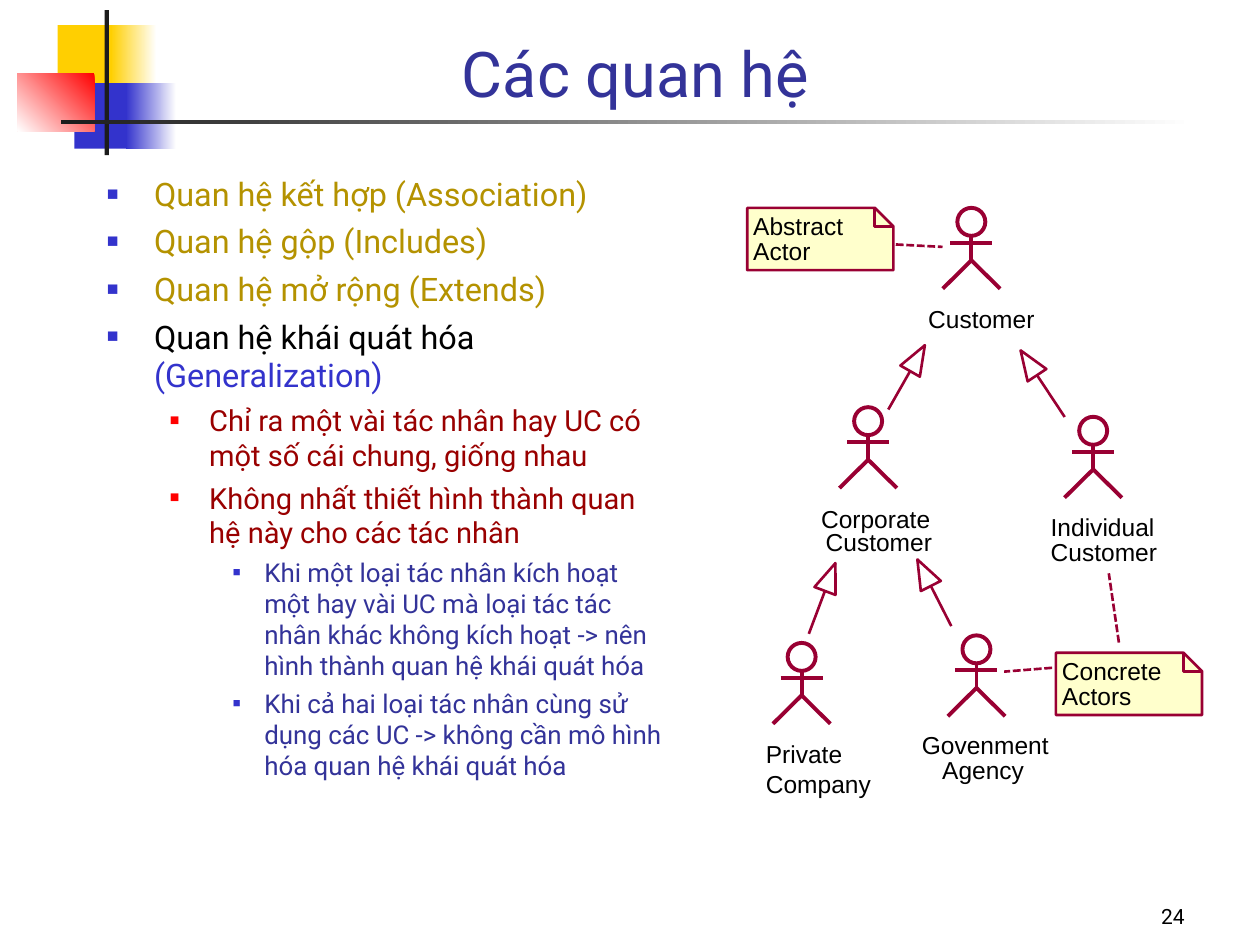
from dataclasses import dataclass
from math import hypot
from typing import NamedTuple, Optional

from lxml import etree
from pptx import Presentation
from pptx.dml.color import RGBColor
from pptx.enum.dml import MSO_LINE
from pptx.enum.shapes import MSO_CONNECTOR, MSO_SHAPE
from pptx.enum.text import MSO_ANCHOR, MSO_AUTO_SIZE, PP_ALIGN
from pptx.oxml.ns import qn
from pptx.util import Pt

RECTANGLE, OVAL = MSO_SHAPE.RECTANGLE, MSO_SHAPE.OVAL
STRAIGHT = MSO_CONNECTOR.STRAIGHT
DASHED = MSO_LINE.SQUARE_DOT
BOTTOM = MSO_ANCHOR.BOTTOM
LEFT, CENTER, RIGHT = PP_ALIGN.LEFT, PP_ALIGN.CENTER, PP_ALIGN.RIGHT
FIT_SHAPE = MSO_AUTO_SIZE.SHAPE_TO_FIT_TEXT


@dataclass(frozen=True)
class Theme:
    text_font: str = "Roboto"
    diagram_font: str = "Arial"
    title_size: float = 36
    label_size: float = 14
    number_size: float = 12
    figure_line: float = 2.25
    thin_line: float = 1.5
    black: str = "000000"
    white: str = "FFFFFF"
    yellow: str = "FFCF01"
    blue: str = "3333CC"
    red: str = "FF0000"
    charcoal: str = "1C1C1C"
    navy: str = "333399"
    gold: str = "B49200"
    dark_red: str = "990000"
    crimson: str = "990033"
    note: str = "FFFFCC"


THEME = Theme()


class Point(NamedTuple):
    x: float
    y: float


class Block(NamedTuple):
    left: float
    top: float
    width: float
    height: float
    start: str
    end: Optional[str] = None
    angle: float = 0


class Level(NamedTuple):
    margin: float
    hanging: float
    before: float
    size: float
    bullet_color: str
    bullet_percent: int


class Bullet(NamedTuple):
    level: int
    runs: list[tuple[str, str]]


class Label(NamedTuple):
    text: str
    left: float
    top: float
    width: float


class Note(NamedTuple):
    corner: Point
    lines: list[tuple[str, float]]


# Corner ornament and title rule
BLOCKS = [
    Block(33, 14.4, 34.6, 37.4, THEME.yellow),
    Block(63.4, 14.4, 26, 37.4, THEME.white, THEME.yellow, 180),
    Block(42.5, 47.5, 33, 37.4, THEME.blue),
    Block(72, 47.5, 28.8, 37.4, THEME.white, THEME.blue, 180),
    Block(10, 41.8, 44, 33.1, THEME.red, THEME.white, 225),
    Block(59.8, 5.8, 2.4, 82.8, THEME.charcoal),
    Block(34.6, 68.4, 648, 2.4, THEME.white, THEME.charcoal, 180),
]

LEVELS = [
    Level(27, 27, 5, 18.5, THEME.blue, 60),
    Level(58.5, 22.5, 4.5, 16.6, THEME.red, 55),
    Level(90, 18, 4, 14.8, THEME.blue, 50),
]
BULLETS = [
    Bullet(0, [("Quan hệ kết hợp (Association)", THEME.gold)]),
    Bullet(0, [("Quan hệ gộp (Includes)", THEME.gold)]),
    Bullet(0, [("Quan hệ mở rộng (Extends)", THEME.gold)]),
    Bullet(0, [("Quan hệ khái quát hóa", THEME.black), (" (Generalization)", THEME.blue)]),
    Bullet(1, [("Chỉ ra một vài tác nhân hay UC có một số cái chung, giống nhau", THEME.dark_red)]),
    Bullet(1, [("Không nhất thiết hình thành quan hệ này cho các tác nhân", THEME.dark_red)]),
    Bullet(2, [("Khi một loại tác nhân kích hoạt một hay vài UC mà loại tác tác nhân khác "
                "không kích hoạt -> nên hình thành quan hệ khái quát hóa", THEME.navy)]),
    Bullet(2, [("Khi cả hai loại tác nhân cùng sử dụng các UC -> không cần mô hình hóa "
                "quan hệ khái quát hóa", THEME.navy)]),
]

# Actor diagram: each actor is placed by the top of its head
ACTORS = [Point(555.1, 118.8), Point(496.1, 232.7), Point(624.7, 238.2),
          Point(458.1, 367.4), Point(558, 363.1)]
LABELS = [
    Label("Customer", 530.4, 173.5, 63),
    Label("Corporate", 469.2, 288, 68),
    Label("Customer", 471.8, 301, 63),
    Label("Individual", 600.4, 292.5, 65),
    Label("Customer", 600.4, 306.7, 63),
    Label("Private\nCompany", 437.6, 422.4, 63),
    Label("Govenment", 526.8, 416.9, 78),
    Label("Agency", 538.4, 431.3, 50),
]
GENERALIZATIONS = [
    (Point(507.6, 234), Point(528.5, 197.3)),
    (Point(608.4, 238.3), Point(583.2, 200.2)),
    (Point(462.2, 362.2), Point(477.4, 321.8)),
    (Point(543.6, 357.8), Point(524.2, 319.7)),
]
NOTES = [
    Note(Point(427, 118.8), [("Abstract", 57), ("Actor", 36)]),
    Note(Point(603.4, 373), [("Concrete", 63), ("Actors", 43)]),
]
NOTE_LINKS = [
    (Point(511.9, 139.7), Point(538.6, 141.1)),
    (Point(639.4, 367.2), Point(633.6, 327.6)),
    (Point(601.2, 381.6), Point(573.8, 383.8)),
]


def rgb(color: str) -> RGBColor:
    return RGBColor.from_string(color)


def style_font(font, name: str, size: float, color: Optional[str] = None) -> None:
    font.name, font.size = name, Pt(size)
    if color:
        font.color.rgb = rgb(color)


def style_outline(shape, width: float, fill: Optional[str] = None) -> None:
    shape.shadow.inherit = False
    if fill:
        shape.fill.solid()
        shape.fill.fore_color.rgb = rgb(fill)
    else:
        shape.fill.background()
    shape.line.color.rgb = rgb(THEME.crimson)
    shape.line.width = Pt(width)


def draw_block(shapes, block: Block) -> None:
    shape = shapes.add_shape(RECTANGLE, *(Pt(length) for length in block[:4]))
    shape.shadow.inherit = False
    shape.line.fill.background()
    if block.end is None:
        shape.fill.solid()
        shape.fill.fore_color.rgb = rgb(block.start)
        return
    shape.fill.gradient()
    shape.fill.gradient_angle = block.angle
    for stop, color, position in zip(shape.fill.gradient_stops, (block.start, block.end), (0, 1)):
        stop.color.rgb = rgb(color)
        stop.position = position


def draw_line(shapes, start: Point, end: Point, width: float, dash=None) -> None:
    line = shapes.add_connector(STRAIGHT, *(Pt(length) for length in (*start, *end)))
    line.line.color.rgb = rgb(THEME.crimson)
    line.line.width = Pt(width)
    if dash:
        line.line.dash_style = dash
    etree.SubElement(line._element.spPr, qn("a:effectLst"))


def draw_path(shapes, points: list[Point], width: float, fill=None, close=False) -> None:
    first, *rest = [(Pt(x), Pt(y)) for x, y in points]
    builder = shapes.build_freeform(*first)
    builder.add_line_segments(rest, close=close)
    style_outline(builder.convert_to_shape(), width, fill)


def draw_label(shapes, label: Label) -> None:
    box = shapes.add_textbox(Pt(label.left), Pt(label.top), Pt(label.width),
                             Pt(17 * len(label.text.split("\n"))))
    frame = box.text_frame
    frame.margin_left = frame.margin_top = frame.margin_right = frame.margin_bottom = 0
    frame.word_wrap = False
    frame.auto_size = FIT_SHAPE
    frame.text = label.text
    for paragraph in frame.paragraphs:
        style_font(paragraph.font, THEME.diagram_font, THEME.label_size, THEME.black)


def draw_text(shapes, box: tuple, text: str, size: float, color: str, align) -> None:
    frame = shapes.add_textbox(*(Pt(length) for length in box)).text_frame
    frame.word_wrap = True
    frame.vertical_anchor = BOTTOM
    frame.text = text
    frame.paragraphs[0].alignment = align
    style_font(frame.paragraphs[0].font, THEME.text_font, size, color)


def draw_bullets(shapes, box: tuple, bullets: list[Bullet]) -> None:
    frame = shapes.add_textbox(*(Pt(length) for length in box)).text_frame
    frame.word_wrap = True
    for index, bullet in enumerate(bullets):
        level = LEVELS[bullet.level]
        paragraph = frame.add_paragraph() if index else frame.paragraphs[0]
        paragraph.level = bullet.level
        properties = paragraph._p.get_or_add_pPr()
        properties.set("marL", str(Pt(level.margin)))
        properties.set("indent", str(-Pt(level.hanging)))
        color = etree.SubElement(properties, qn("a:buClr"))
        etree.SubElement(color, qn("a:srgbClr"), val=level.bullet_color)
        etree.SubElement(properties, qn("a:buSzPct"), val=str(level.bullet_percent * 1000))
        etree.SubElement(properties, qn("a:buFont"), typeface=THEME.diagram_font)
        etree.SubElement(properties, qn("a:buChar"), char="■")
        paragraph.alignment = LEFT
        paragraph.space_before = Pt(level.before if index else 0)
        shared = bullet.runs[0][1] if len(bullet.runs) == 1 else None
        style_font(paragraph.font, THEME.text_font, level.size, shared)
        for text, run_color in bullet.runs:
            run = paragraph.add_run()
            run.text = text
            if not shared:
                run.font.color.rgb = rgb(run_color)


def draw_actor(shapes, top: Point) -> None:
    x, y = top
    head = shapes.add_shape(OVAL, Pt(x - 8), Pt(y), Pt(16), Pt(16))
    style_outline(head, THEME.figure_line)
    hip = Point(x, y + 30)
    draw_line(shapes, Point(x, y + 16), hip, THEME.figure_line)
    draw_line(shapes, Point(x - 12, y + 20), Point(x + 12, y + 20), THEME.figure_line)
    draw_path(shapes, [Point(x - 16.4, y + 46.2), hip, Point(x + 16.4, y + 46.2)], THEME.figure_line)


def draw_generalization(shapes, start: Point, tip: Point) -> None:
    draw_line(shapes, start, tip, THEME.thin_line)
    length = hypot(tip.x - start.x, tip.y - start.y)
    dx, dy = (tip.x - start.x) / length, (tip.y - start.y) / length
    base = Point(tip.x - 17 * dx, tip.y - 17 * dy)
    corners = [Point(base.x - side * dy, base.y + side * dx) for side in (6.4, -6.4)]
    draw_path(shapes, [tip, *corners], THEME.thin_line, THEME.white, close=True)


def draw_note(shapes, note: Note) -> None:
    (x, y), fold = note.corner, 10.6
    right, bottom = x + 83.5, y + 35.6
    crease = [Point(right - fold, y), Point(right, y + fold)]
    draw_path(shapes, [Point(x, y), *crease, Point(right, bottom), Point(x, bottom)],
              THEME.thin_line, THEME.note, close=True)
    draw_path(shapes, [crease[0], Point(right - fold, y + fold), crease[1]], THEME.thin_line)
    for row, (text, width) in enumerate(note.lines):
        draw_label(shapes, Label(text, x + 3.4, y + 1.9 + 14.2 * row, width))


def main() -> None:
    presentation = Presentation()
    presentation.slide_width, presentation.slide_height = Pt(720), Pt(540)
    shapes = presentation.slides.add_slide(presentation.slide_layouts[6]).shapes

    # Ornament, title and bullets
    for block in BLOCKS:
        draw_block(shapes, block)
    draw_text(shapes, (90.7, 5.8, 545, 60.5), "Các quan hệ", THEME.title_size, THEME.navy, CENTER)
    draw_bullets(shapes, (54, 95.8, 336.2, 419.8), BULLETS)

    # Actors, generalizations and notes
    for actor in ACTORS:
        draw_actor(shapes, actor)
    for label in LABELS:
        draw_label(shapes, label)
    for start, tip in GENERALIZATIONS:
        draw_generalization(shapes, start, tip)
    for note in NOTES:
        draw_note(shapes, note)
    for start, end in NOTE_LINKS:
        draw_line(shapes, start, end, THEME.thin_line, DASHED)

    # Slide number
    draw_text(shapes, (534.2, 498.2, 149.8, 36), "24", THEME.number_size, THEME.black, RIGHT)
    presentation.save("out.pptx")


if __name__ == "__main__":
    main()
